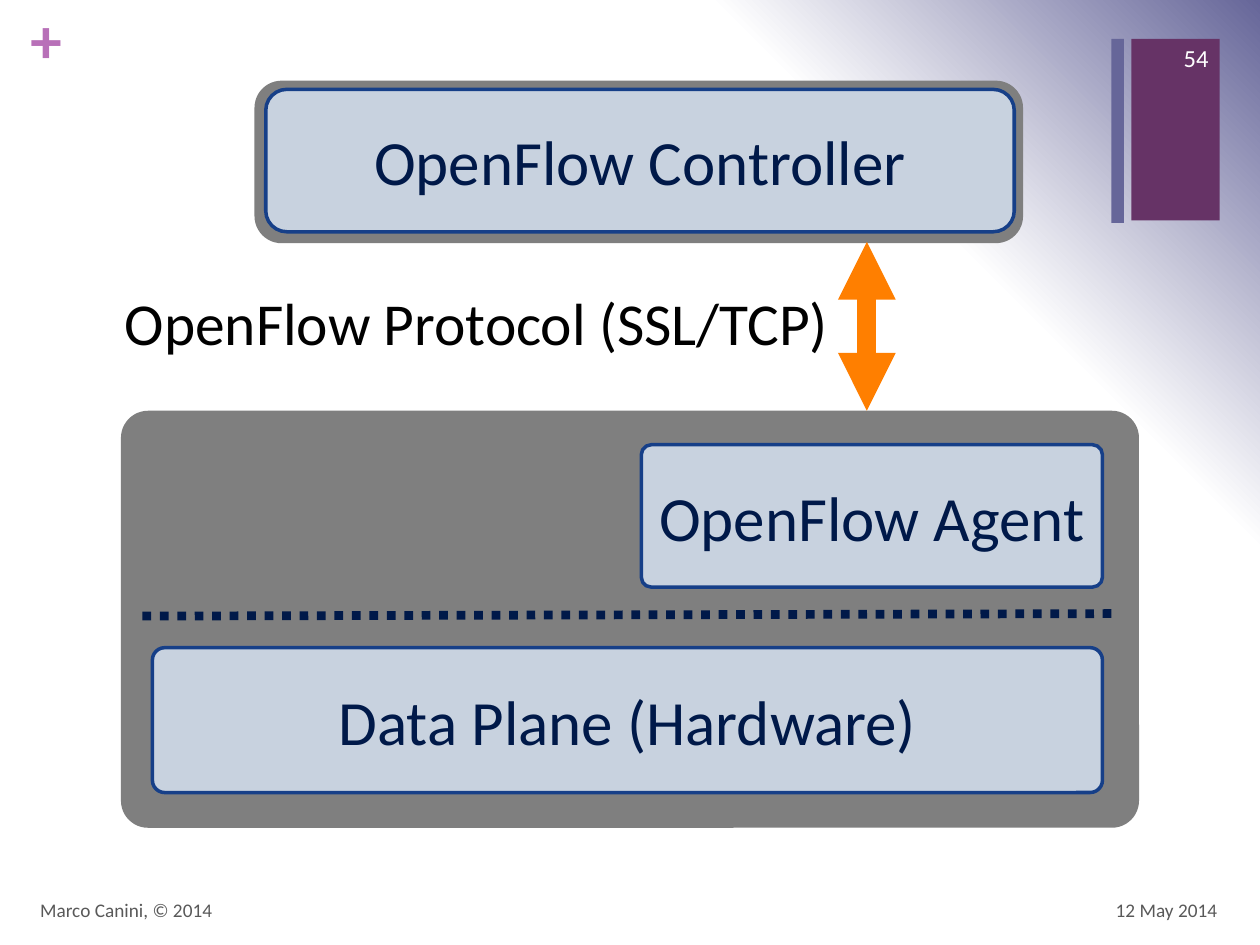
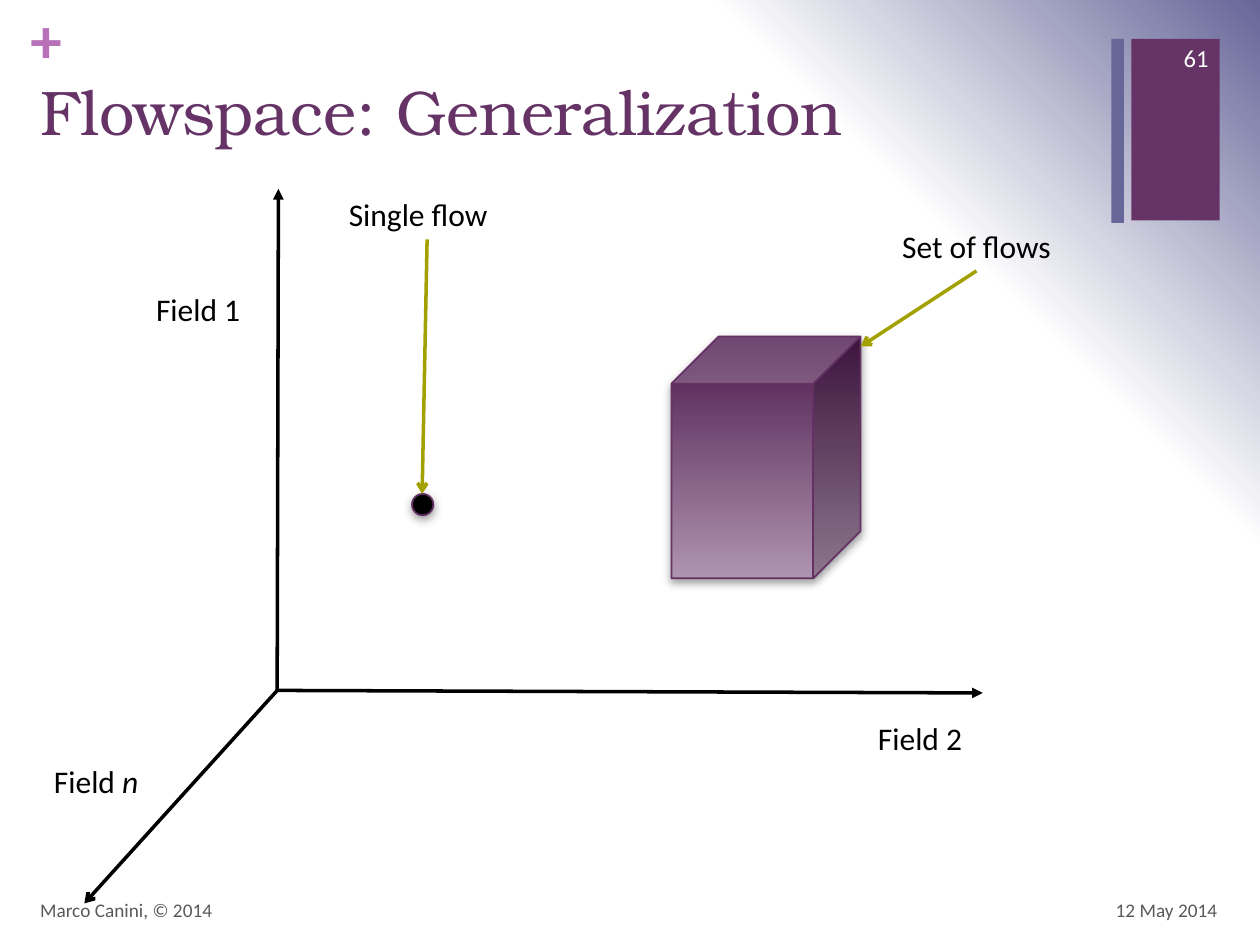
from dataclasses import dataclass
from typing import Optional

from lxml.etree import SubElement
from pptx import Presentation
from pptx.dml.color import RGBColor
from pptx.enum.dml import MSO_LINE
from pptx.enum.shapes import MSO_CONNECTOR, MSO_SHAPE
from pptx.enum.text import MSO_ANCHOR, PP_ALIGN
from pptx.oxml import parse_xml
from pptx.oxml.ns import nsdecls, qn
from pptx.util import Inches, Pt

COLORS = {
    "white": "FFFFFF", "black": "000000", "plum": "663366", "slate": "666699",
    "orchid": "B870B8", "footer": "595959", "gray": "7F7F7F", "panel": "C8D2DF",
    "panel_line": "163F88", "navy": "001949", "orange": "FF7F00",
    "olive": "A3A101", "solid_line": "653165", "cube_top": "4D1A4D",
    "cube_bottom": "AF94AF", "shadow": "808080",
}
BODY_FONT = "Calibri"
TITLE_FONT = "TeX Gyre Bonum"


@dataclass
class Box:
    left: float
    top: float
    width: float
    height: float

    def lengths(self) -> tuple:
        return tuple(Inches(v) for v in (self.left, self.top, self.width, self.height))


@dataclass
class Run:
    text: str
    italic: bool = False
    bold: bool = False


@dataclass
class Label:
    box: Box
    runs: list[Run]
    size: float = 18
    color: str = "black"
    font: str = BODY_FONT
    align: PP_ALIGN = PP_ALIGN.LEFT
    anchor: MSO_ANCHOR = MSO_ANCHOR.TOP
    wrap: bool = True
    inset: bool = True


@dataclass
class Block:
    box: Box
    corner: float
    text: str = ""


@dataclass
class Arrow:
    start: tuple[float, float]
    end: tuple[float, float]
    color: str
    width: float = 2
    head: Optional[str] = None
    tail: Optional[str] = None


def rgb(name: str) -> RGBColor:
    return RGBColor.from_string(COLORS[name])


# Text
def write_text(shape, label: Label) -> None:
    frame = shape.text_frame
    frame.word_wrap = label.wrap
    frame.vertical_anchor = label.anchor
    if not label.inset:
        frame.margin_left = frame.margin_right = 0
        frame.margin_top = frame.margin_bottom = 0
    paragraph = frame.paragraphs[0]
    paragraph.alignment = label.align
    for part in label.runs:
        run = paragraph.add_run()
        run.text = part.text
        run.font.name = label.font
        run.font.size = Pt(label.size)
        run.font.color.rgb = rgb(label.color)
        run.font.italic = part.italic
        run.font.bold = part.bold


def add_label(slide, label: Label) -> None:
    write_text(slide.shapes.add_textbox(*label.box.lengths()), label)


# Shapes and lines
def add_shape(slide, kind: MSO_SHAPE, box: Box, fill: Optional[str] = None,
              line: Optional[str] = None, line_width: float = 1):
    shape = slide.shapes.add_shape(kind, *box.lengths())
    shape.shadow.inherit = False
    if fill:
        shape.fill.solid()
        shape.fill.fore_color.rgb = rgb(fill)
    if line:
        shape.line.color.rgb = rgb(line)
        shape.line.width = Pt(line_width)
    else:
        shape.line.fill.background()
    return shape


def add_block(slide, block: Block) -> None:
    """A panel when it carries text, otherwise a plain gray frame."""
    colors = ("panel", "panel_line", 2) if block.text else ("gray",)
    shape = add_shape(slide, MSO_SHAPE.ROUNDED_RECTANGLE, block.box, *colors)
    shape.adjustments[0] = block.corner
    if block.text:
        write_text(shape, Label(block.box, [Run(block.text)], 36, "navy", align=PP_ALIGN.CENTER,
                                anchor=MSO_ANCHOR.MIDDLE, inset=False))


def add_soft_shadow(shape) -> None:
    effects = shape.element.spPr.find(qn("a:effectLst"))
    effects.append(parse_xml(
        f'<a:outerShdw {nsdecls("a")} blurRad="{Pt(5)}" dist="{Pt(2)}" dir="5400000" '
        f'rotWithShape="0"><a:srgbClr val="{COLORS["shadow"]}"><a:alpha val="75000"/>'
        f'</a:srgbClr></a:outerShdw>'))


def style_line(shape, color: str, width: float, head: Optional[str], tail: Optional[str]) -> None:
    shape.line.color.rgb = rgb(color)
    shape.line.width = Pt(width)
    line = shape.element.spPr.find(qn("a:ln"))
    for tag, end in (("a:headEnd", head), ("a:tailEnd", tail)):
        if end:
            SubElement(line, qn(tag)).set("type", end)


def add_arrow(slide, arrow: Arrow):
    points = [Inches(v) for v in (*arrow.start, *arrow.end)]
    connector = slide.shapes.add_connector(MSO_CONNECTOR.STRAIGHT, *points)
    style_line(connector, arrow.color, arrow.width, arrow.head, arrow.tail)
    SubElement(connector.element.spPr, qn("a:effectLst"))
    return connector


# Shared slide furniture
def set_background(slide) -> None:
    slide.background.fill.gradient()
    gradient = slide.element.find(f".//{qn('p:bgPr')}/{qn('a:gradFill')}")
    stops = "".join(
        f'<a:gs pos="{position}000"><a:srgbClr val="{COLORS[color]}"/></a:gs>'
        for position, color in ((0, "white"), (75, "white"), (100, "slate")))
    radial = parse_xml(
        f'<a:gradFill {nsdecls("a")} rotWithShape="1"><a:gsLst>{stops}</a:gsLst>'
        '<a:path path="circle"><a:fillToRect t="100000" r="100000"/></a:path></a:gradFill>')
    gradient.getparent().replace(gradient, radial)


def start_slide(presentation):
    slide = presentation.slides.add_slide(presentation.slide_layouts[6])
    set_background(slide)
    add_shape(slide, MSO_SHAPE.RECTANGLE, Box(8.98, 0.31, 0.7, 1.44), "plum")
    add_label(slide, Label(Box(0.24, 0, 0.29, 0.61), [Run("+", bold=True)], 36, "orchid",
                           inset=False))
    add_shape(slide, MSO_SHAPE.RECTANGLE, Box(8.82, 0.31, 0.1, 1.46), "slate")
    return slide


def add_footers(slide, number: int) -> None:
    for box, text, size, color, align in (
        (Box(7.43, 7.02, 2.33, 0.4), "12 May 2014", 11, "footer", PP_ALIGN.RIGHT),
        (Box(9.08, 0.26, 0.61, 0.4), str(number), 14, "white", PP_ALIGN.RIGHT),
        (Box(0.22, 7.02, 6.7, 0.4), "Marco Canini, © 2014", 11, "footer", PP_ALIGN.LEFT),
    ):
        add_label(slide, Label(box, [Run(text)], size, color, align=align,
                               anchor=MSO_ANCHOR.MIDDLE))


def add_title(slide, text: str) -> None:
    add_label(slide, Label(Box(0.22, 0.53, 8.59, 1.22), [Run(text)], 36, "plum", TITLE_FONT))


# Slide: controller and switch
def build_architecture(presentation) -> None:
    slide = start_slide(presentation)
    for block in (
        Block(Box(0.96, 3.26, 8.08, 3.31), 0.065),
        Block(Box(1.21, 5.14, 7.54, 1.15), 0.085, "Data Plane (Hardware)"),
        Block(Box(5.09, 3.53, 3.66, 1.13), 0.069, "OpenFlow Agent"),
        Block(Box(2.02, 0.64, 6.1, 1.29), 0.167),
        Block(Box(2.11, 0.71, 5.94, 1.13), 0.147, "OpenFlow Controller"),
    ):
        add_block(slide, block)
    divider = add_arrow(slide, Arrow((1.13, 4.89), (8.87, 4.87), "navy", 5))
    divider.line.dash_style = MSO_LINE.ROUND_DOT
    add_arrow(slide, Arrow((6.88, 1.92), (6.88, 3.26), "orange", 11, "triangle", "triangle"))
    add_label(slide, Label(Box(0.99, 2.27, 5.61, 0.57), [Run("OpenFlow Protocol (SSL/TCP)")], 34,
                           anchor=MSO_ANCHOR.MIDDLE, wrap=False, inset=False))
    add_footers(slide, 54)


# Slide: flowspace axes
def build_flowspace(presentation) -> None:
    slide = start_slide(presentation)
    add_title(slide, "Flowspace: Generalization")

    # Axes
    origin = (2.2, 5.48)
    builder = slide.shapes.build_freeform(Inches(2.21), Inches(1.5))
    corners = [(Inches(x), Inches(y)) for x, y in (origin, (7.8, 5.5))]
    builder.add_line_segments(corners, close=False)
    axes = builder.convert_to_shape()
    axes.shadow.inherit = False
    axes.fill.background()
    style_line(axes, "black", 2, "triangle", "triangle")
    add_arrow(slide, Arrow(origin, (0.67, 7.17), "black", tail="arrow"))

    # Single flow and set of flows
    point = add_shape(slide, MSO_SHAPE.OVAL, Box(3.27, 3.92, 0.17, 0.17), "black", "solid_line")
    cube = add_shape(slide, MSO_SHAPE.CUBE, Box(5.33, 2.67, 1.5, 1.92), line="solid_line")
    cube.fill.gradient()
    cube.fill.gradient_angle = 270
    for stop, position, color in zip(cube.fill.gradient_stops, (0, 1),
                                     ("cube_top", "cube_bottom")):
        stop.position = position
        stop.color.rgb = rgb(color)
    for solid in (point, cube):
        add_soft_shadow(solid)
    for start, end in (((3.39, 1.9), (3.35, 3.92)), ((7.75, 2.15), (6.83, 2.75))):
        add_arrow(slide, Arrow(start, end, "olive", tail="arrow"))

    # Labels
    for left, top, width, runs in (
        (6.87, 5.66, 0.96, [Run("Field 2")]),
        (1.14, 2.25, 0.96, [Run("Field 1")]),
        (2.67, 1.5, 1.44, [Run("Single flow")]),
        (0.33, 6, 1.01, [Run("Field "), Run("n", italic=True)]),
    ):
        add_label(slide, Label(Box(left, top, width, 0.4), runs, wrap=False))
    add_label(slide, Label(Box(6.75, 1.75, 2, 0.4), [Run("Set of flows")],
                           align=PP_ALIGN.CENTER))
    add_footers(slide, 61)


def main() -> None:
    presentation = Presentation()
    presentation.slide_width = Inches(10)
    presentation.slide_height = Inches(7.5)
    build_architecture(presentation)
    build_flowspace(presentation)
    presentation.save("out.pptx")


if __name__ == "__main__":
    main()
